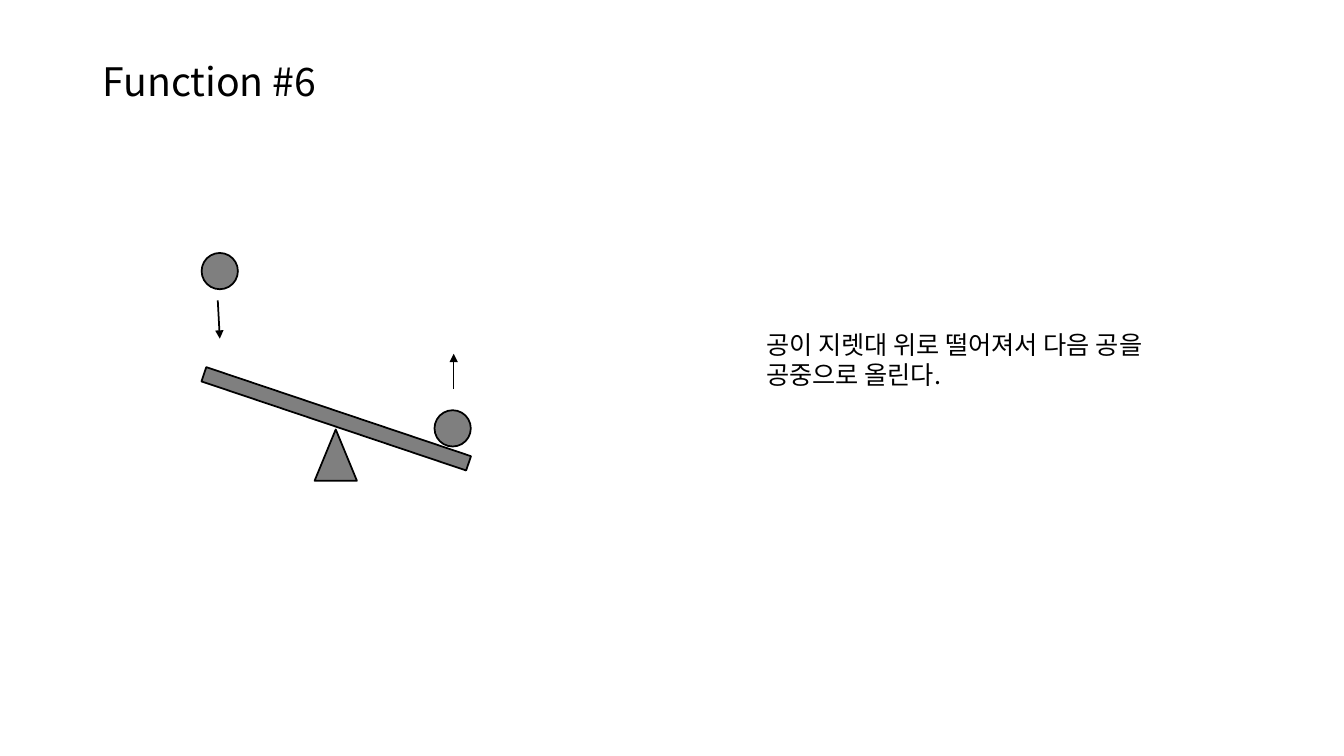
from lxml.etree import SubElement
from pptx import Presentation
from pptx.dml.color import RGBColor
from pptx.enum.shapes import MSO_CONNECTOR, MSO_SHAPE
from pptx.enum.text import MSO_ANCHOR, MSO_AUTO_SIZE
from pptx.oxml.ns import qn
from pptx.util import Inches, Pt

BLACK = RGBColor(0x00, 0x00, 0x00)
GRAY = RGBColor(0x7F, 0x7F, 0x7F)
FONT = "Noto Sans CJK KR"
BALL_SIZE = 0.36


def apply_format(target, values):
    """Set every attribute named in the dict on the target."""
    for name, value in values.items():
        setattr(target, name, value)


class LeverSlide:
    """Holds the drawing style and the current slide."""

    def __init__(self, slide, outline=1.25):
        """Keep the slide and the usual outline width in points."""
        self.slide = slide
        self.outline = outline

    def stroke(self, line, width):
        """Colour a line black at the given width."""
        line.color.rgb = BLACK
        line.width = Pt(width)

    def solid(self, kind, left, top, width, height, rotation=0):
        """Add one gray, outlined piece of the mechanism."""
        piece = self.slide.shapes.add_shape(
            kind, Inches(left), Inches(top), Inches(width), Inches(height))
        piece.rotation = rotation
        piece.shadow.inherit = False
        piece.fill.solid()
        piece.fill.fore_color.rgb = GRAY
        self.stroke(piece.line, self.outline)

    def ball(self, left, top):
        """Add a ball."""
        self.solid(MSO_SHAPE.OVAL, left, top, BALL_SIZE, BALL_SIZE)

    def motion(self, start, end, width):
        """Add an arrow showing which way a ball moves."""
        arrow = self.slide.shapes.add_connector(
            MSO_CONNECTOR.STRAIGHT, *map(Inches, start + end))
        self.stroke(arrow.line, width)
        properties = arrow._element.spPr
        SubElement(properties.find(qn("a:ln")), qn("a:tailEnd"), type="triangle")
        SubElement(properties, qn("a:effectLst"))

    def text(self, wording, left, top, width, height, size, frame, paragraph):
        """Add wrapped text with frame and paragraph formats."""
        box = self.slide.shapes.add_textbox(
            Inches(left), Inches(top), Inches(width), Inches(height)).text_frame
        apply_format(box, {"word_wrap": True, **frame})
        apply_format(box.paragraphs[0], paragraph)
        run = box.paragraphs[0].add_run()
        run.text = wording
        apply_format(run.font, {"name": FONT, "size": Pt(size)})
        run.font.color.rgb = BLACK
        SubElement(run._r.get_or_add_rPr(), qn("a:ea"), typeface=FONT)


def main():
    """Build the lever slide and save it."""
    deck = Presentation()
    apply_format(deck, {"slide_width": Inches(13.33), "slide_height": Inches(7.5)})
    lever = LeverSlide(deck.slides.add_slide(deck.slide_layouts[6]))

    lever.ball(2, 2.51)
    lever.solid(MSO_SHAPE.RECTANGLE, 1.95, 4.08, 2.77, 0.15, rotation=18.6)
    lever.text("Function #6", 0.92, 0.4, 8.67, 0.69, 28,
               {"vertical_anchor": MSO_ANCHOR.BOTTOM}, {"line_spacing": 0.9})
    lever.solid(MSO_SHAPE.ISOSCELES_TRIANGLE, 3.12, 4.26, 0.42, 0.51)
    lever.ball(4.31, 4.07)
    lever.motion((2.16, 2.98), (2.18, 3.36), 1.25)
    lever.text("공이 지렛대 위로 떨어져서 다음 공을 공중으로 올린다.",
               7.5, 3.22, 4.18, 0.71, 18,
               {"auto_size": MSO_AUTO_SIZE.SHAPE_TO_FIT_TEXT}, {})
    lever.motion((4.5, 3.86), (4.5, 3.51), 0.5)
    deck.save("out.pptx")


main()
